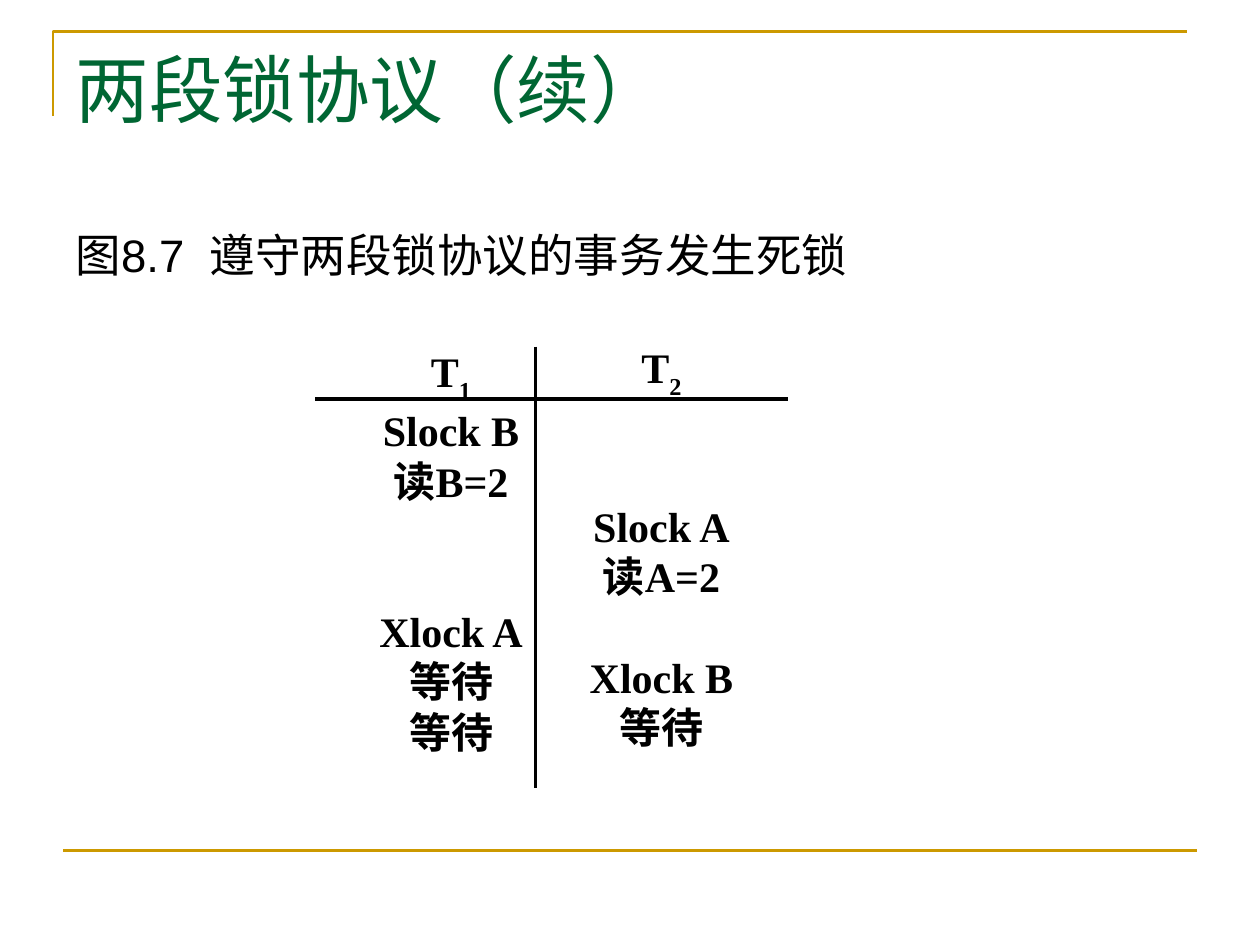
from dataclasses import dataclass
from lxml.etree import SubElement
from pptx import Presentation
from pptx.dml.color import RGBColor
from pptx.enum.shapes import MSO_CONNECTOR
from pptx.enum.text import MSO_ANCHOR, MSO_AUTO_SIZE, PP_ALIGN
from pptx.oxml.ns import qn
from pptx.util import Inches, Pt


@dataclass(frozen=True)
class Theme:
    gold: str = "CC9900"
    green: str = "006633"
    black: str = "000000"
    serif: str = "Times New Roman"
    sans: str = "Arial"
    head: int = 42
    body: int = 26
    cell: int = 24
    thin: float = 1.5
    thick: float = 2.25


class Page:
    def __init__(self, deck, theme):
        self.theme = theme
        self.slide = deck.slides.add_slide(deck.slide_layouts[1])

    def place(self, shape, box):
        shape.left, shape.top, shape.width, shape.height = map(Inches, box)
        frame = shape.text_frame
        frame.auto_size = MSO_AUTO_SIZE.NONE
        frame.vertical_anchor = MSO_ANCHOR.TOP
        return frame

    def style(self, para, size, face, color, bold=False):
        font = para.font
        font.size, font.name, font.bold = Pt(size), face, bold
        font.color.rgb = RGBColor.from_string(color)

    def title(self, text, box):
        frame = self.place(self.slide.shapes.title, box)
        frame.text = text
        para = frame.paragraphs[0]
        para.alignment = PP_ALIGN.LEFT
        self.style(para, self.theme.head, self.theme.serif, self.theme.green)

    def body(self, text, box):
        frame = self.place(self.slide.placeholders[1], box)
        frame.text = text
        para = frame.paragraphs[0]
        self.style(para, self.theme.body, self.theme.sans, self.theme.black)
        para.space_before = Pt(5)
        props = para._p.get_or_add_pPr()
        props.set("marL", str(Inches(0.38)))
        props.set("indent", str(Inches(-0.38)))
        SubElement(props, qn("a:buNone"))

    def column(self, index, steps, box):
        frame = self.place(self.slide.shapes.add_textbox(0, 0, 0, 0), box)
        frame.word_wrap = False
        head = frame.paragraphs[0]
        head.add_run().text = "T"
        sub = head.add_run()
        sub.text = index
        sub._r.get_or_add_rPr().set("baseline", "-30000")
        for text, skip in steps:
            para = frame.add_paragraph()
            para.text = text
            para.space_before = Pt(28.5 * skip)
        for para in frame.paragraphs:
            para.alignment = PP_ALIGN.CENTER
            self.style(para, self.theme.cell, self.theme.serif,
                       self.theme.black, True)

    def stroke(self, shape, color, width):
        shape.line.color.rgb = RGBColor.from_string(color)
        shape.line.width = Pt(width)

    def line(self, ends, color, width):
        rule = self.slide.shapes.add_connector(
            MSO_CONNECTOR.STRAIGHT, *map(Inches, ends))
        self.stroke(rule, color, width)
        SubElement(rule._element.spPr, qn("a:effectLst"))

    def corner(self, points, color, width):
        first, *rest = [tuple(map(Inches, point)) for point in points]
        pen = self.slide.shapes.build_freeform(*first)
        pen.add_line_segments(rest, close=False)
        shape = pen.convert_to_shape()
        shape.fill.background()
        shape.shadow.inherit = False
        self.stroke(shape, color, width)


deck = Presentation()
deck.slide_width, deck.slide_height = Inches(10), Inches(7.5)
theme = Theme()
page = Page(deck, theme)

page.corner([(0.42, 0.92), (0.42, 0.25), (9.42, 0.25)], theme.gold, theme.thin)
page.line((0.5, 6.75, 9.5, 6.75), theme.gold, theme.thin)
page.title("两段锁协议（续）", (0.5, 0.3, 9, 1.25))
page.body("图8.7  遵守两段锁协议的事务发生死锁", (0.5, 1.75, 9, 4.95))

first = [("Slock B", 0), ("读B=2", 0), ("Xlock A", 2), ("等待", 0), ("等待", 0)]
second = [("Slock A", 2), ("读A=2", 0), ("Xlock B", 1), ("等待", 0)]
page.column("1", first, (2.91, 2.69, 1.34, 3.92))
page.column("2", second, (4.58, 2.66, 1.34, 3.92))

for ends in [(2.5, 3.17, 6.25, 3.17), (4.25, 2.75, 4.25, 6.25)]:
    page.line(ends, theme.black, theme.thick)

deck.save("out.pptx")
